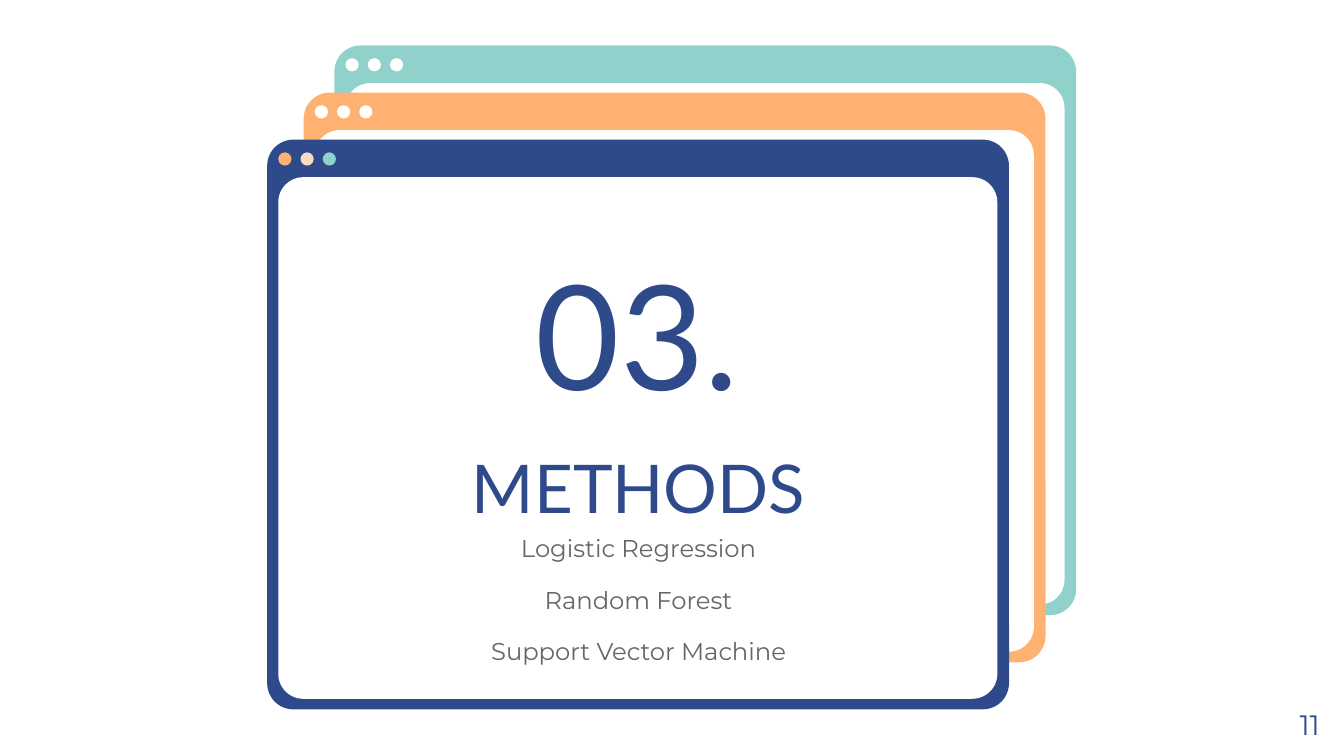
"""Build the section slide "03. METHODS" with three stacked browser windows."""
from pptx import Presentation
from pptx.dml.color import RGBColor
from pptx.enum.shapes import MSO_SHAPE
from pptx.enum.text import MSO_ANCHOR, MSO_AUTO_SIZE, PP_ALIGN
from pptx.util import Cm, Pt

ROUNDED, OVAL = MSO_SHAPE.ROUNDED_RECTANGLE, MSO_SHAPE.OVAL
TOP, MIDDLE, BOTTOM = MSO_ANCHOR.TOP, MSO_ANCHOR.MIDDLE, MSO_ANCHOR.BOTTOM
LEFT, CENTER = PP_ALIGN.LEFT, PP_ALIGN.CENTER
FIXED = MSO_AUTO_SIZE.NONE

TEAL, ORANGE, NAVY = "90D1CB", "FFB172", "2F4A8A"
PEACH, GRAY, WHITE = "F8DBC4", "666666", "FFFFFF"

NUMBER, TITLE, PAGE = "03.", "METHODS", "11"
METHODS = ["Logistic Regression", "Random Forest", "Support Vector Machine"]
WINDOWS = [
    {"left": 6.32, "top": 0.86, "color": TEAL, "dots": [WHITE] * 3},
    {"left": 5.74, "top": 1.75, "color": ORANGE, "dots": [WHITE] * 3},
    {"left": 5.05, "top": 2.64, "color": NAVY, "dots": [ORANGE, PEACH, TEAL]},
]
WINDOW_SIZE, PANEL_SIZE = (14.02, 10.77), (13.59, 9.86)
BORDER, BAR_HEIGHT = 0.21, 0.71
DOT_TOP, DOT_SIZE, DOT_PITCH = 0.24, 0.25, 0.42


def rgb(color):
    return RGBColor.from_string(color)


def add_filled(slide, kind, left, top, size, color, corner=None):
    shape = slide.shapes.add_shape(kind, Cm(left), Cm(top), *map(Cm, size))
    shape.shadow.inherit = False
    shape.fill.solid()
    shape.fill.fore_color.rgb = rgb(color)
    shape.line.fill.background()
    if corner is not None:
        shape.adjustments[0] = corner


def add_window(slide, left, top, color, dots):
    add_filled(slide, ROUNDED, left, top, WINDOW_SIZE, color, 0.046)
    add_filled(slide, ROUNDED, left + BORDER, top + BAR_HEIGHT, PANEL_SIZE, WHITE, 0.048)
    for index, dot_color in enumerate(dots):
        dot_left = left + BORDER + index * DOT_PITCH
        add_filled(slide, OVAL, dot_left, top + DOT_TOP, (DOT_SIZE, DOT_SIZE), dot_color)


def write(shape, lines, box, size, font="Lato", color=NAVY, anchor=TOP, align=CENTER, gap=0):
    shape.left, shape.top, shape.width, shape.height = map(Cm, box)
    frame = shape.text_frame
    frame.word_wrap, frame.auto_size, frame.vertical_anchor = True, FIXED, anchor
    frame.margin_left = frame.margin_right = Cm(0.25)
    frame.margin_top = frame.margin_bottom = Cm(0.25)
    frame.text = "\n".join(lines)
    for index, paragraph in enumerate(frame.paragraphs):
        paragraph.alignment = align
        paragraph.space_before = Pt(gap if index else 0)
        run_font = paragraph.runs[0].font
        run_font.name, run_font.size, run_font.color.rgb = font, Pt(size), rgb(color)


def main():
    presentation = Presentation()
    presentation.slide_width, presentation.slide_height = Cm(25.4), Cm(14.29)
    slide = presentation.slides.add_slide(presentation.slide_layouts[0])
    title, subtitle = slide.placeholders

    for window in WINDOWS:
        add_window(slide, **window)
    for placeholder in (title, subtitle):
        placeholder.element.getparent().append(placeholder.element)
    number, page = (slide.shapes.add_textbox(0, 0, 0, 0) for _ in range(2))

    write(title, [TITLE], (7.37, 8.03, 9.4, 2.34), 36, anchor=MIDDLE)
    write(subtitle, METHODS, (8.56, 9.83, 7.01, 2.97), 13, font="Montserrat", color=GRAY, gap=12)
    write(number, [NUMBER], (7.82, 4.29, 8.46, 3.89), 78, anchor=BOTTOM)
    write(page, [PAGE], (24.31, 13.13, 0.99, 1.14), 15, font="Montserrat", align=LEFT)
    presentation.save("out.pptx")


if __name__ == "__main__":
    main()
